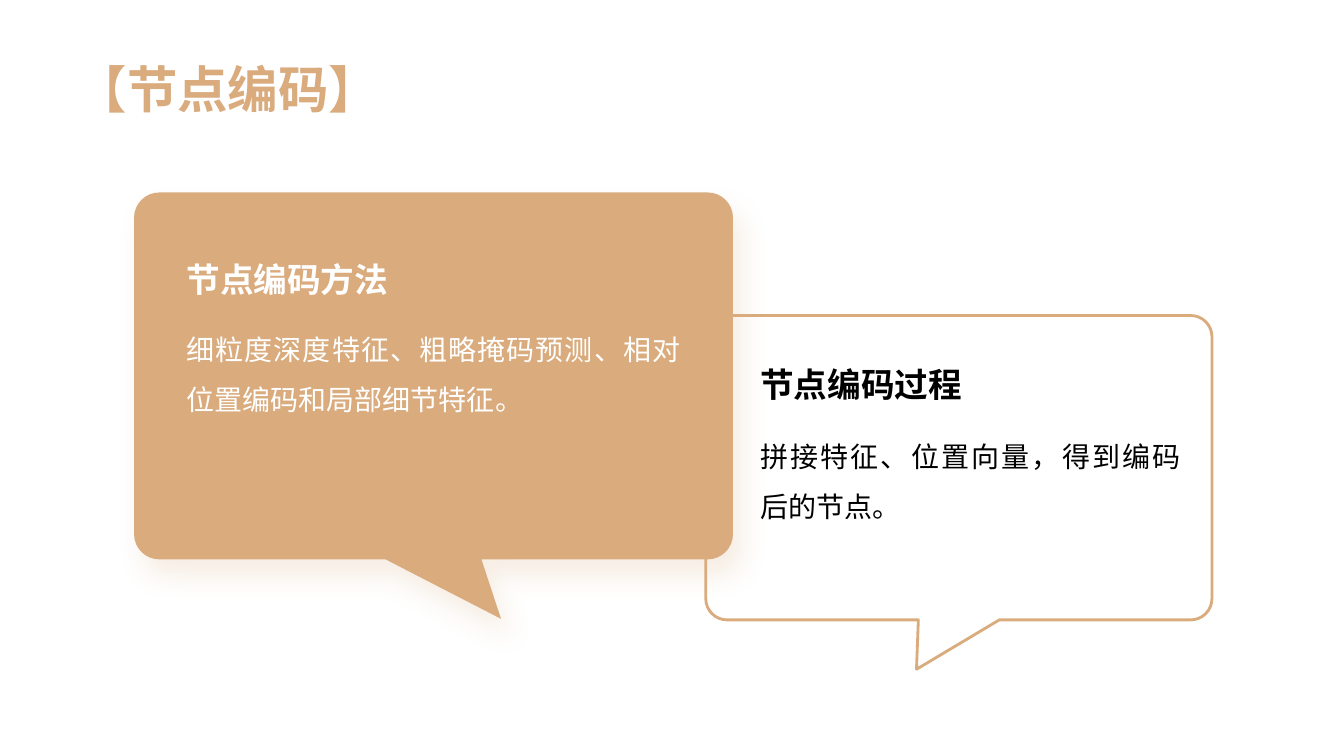
from dataclasses import dataclass
from math import cos, radians, sin

from lxml import etree
from pptx import Presentation
from pptx.dml.color import RGBColor
from pptx.enum import text
from pptx.oxml import ns
from pptx.util import Inches, Pt


@dataclass(frozen=True)
class Theme:
    font: str = "Noto Sans CJK SC"
    tan: str = "D9AB7D"
    white: str = "FFFFFF"
    black: str = "000000"
    title: int = 36
    heading: int = 24
    body: int = 20


theme = Theme()
deck = Presentation()
deck.slide_width, deck.slide_height = Inches(13.33), Inches(7.5)
page = deck.slides.add_slide(deck.slide_layouts[6])


def add_text(words, left, top, width, height, size, color, anchor, bold=True):
    box = page.shapes.add_textbox(Inches(left), Inches(top), Inches(width), Inches(height))
    frame = box.text_frame
    frame.word_wrap = True
    frame.vertical_anchor = anchor
    frame.margin_left = frame.margin_right = frame.margin_top = frame.margin_bottom = 0
    para = frame.paragraphs[0]
    if not bold:
        para.alignment = text.PP_ALIGN.JUSTIFY
        para.line_spacing = 1.5
    span = para.add_run()
    span.text = words
    span.font.name = theme.font
    span.font.size = Pt(size)
    span.font.bold = bold
    span.font.color.rgb = RGBColor.from_string(color)
    etree.SubElement(span.font._element, ns.qn("a:ea")).set("typeface", theme.font)


def add_callout(left, top, width, height, radius, tip, fill):
    right, bottom = left + width, top + height
    corners = [
        (right - radius, top + radius, -90),
        (right - radius, bottom - radius, 0),
        (left + radius, bottom - radius, 90),
        (left + radius, top + radius, 180),
    ]
    bend = 0.55 * radius
    points, curve_starts = [], []
    for x, y, degrees in corners:
        c, s = cos(radians(degrees)), sin(radians(degrees))
        curve_starts.append(len(points) + 1)
        points += [
            (x + radius * c, y + radius * s),
            (x + radius * c - bend * s, y + radius * s + bend * c),
            (x - radius * s + bend * c, y + radius * c + bend * s),
            (x - radius * s, y + radius * c),
        ]
        if degrees == 0:
            points += [(left + width * 0.58, bottom), tip, (left + width * 0.42, bottom)]
    points = [(Inches(x), Inches(y)) for x, y in points]
    builder = page.shapes.build_freeform(*points[0], scale=1.0)
    builder.add_line_segments(points[1:], close=True)
    shape = builder.convert_to_shape()
    outline = next(shape._element.iter(ns.qn("a:path")))
    segments = list(outline)
    for start in curve_starts:
        first, *others = segments[start:start + 3]
        first.tag = ns.qn("a:cubicBezTo")
        for segment in others:
            first.append(segment[0])
            outline.remove(segment)
    shape.shadow.inherit = False
    shape.fill.solid()
    shape.fill.fore_color.rgb = RGBColor.from_string(fill)
    return shape


add_text("【节点编码】", 0.76, 0.39, 11.81, 0.79, theme.title, theme.tan, text.MSO_ANCHOR.BOTTOM)

process = add_callout(7, 3.13, 5.02, 3.02, 0.21, (9.09, 6.64), theme.white)
process.line.color.rgb = RGBColor.from_string(theme.tan)
process.line.width = Pt(2)
fill_color = process._element.spPr.find(ns.qn("a:solidFill"))[0]
etree.SubElement(fill_color, ns.qn("a:alpha")).set("val", "15000")
add_text("拼接特征、位置向量，得到编码后的节点。", 7.54, 4.19, 4.17, 1.66,
         theme.body, theme.black, text.MSO_ANCHOR.TOP, bold=False)
add_text("节点编码过程", 7.54, 3.5, 4.17, 0.62, theme.heading, theme.black, text.MSO_ANCHOR.MIDDLE)

method = add_callout(1.33, 1.91, 5.94, 3.64, 0.25, (4.97, 6.14), theme.tan)
method.line.fill.background()
effects = method._element.spPr.find(ns.qn("a:effectLst"))
shadow = etree.SubElement(effects, ns.qn("a:outerShdw"))
for key, value in {"blurRad": Pt(18), "dist": Pt(14), "dir": 63 * 60000, "rotWithShape": 0}.items():
    shadow.set(key, str(int(value)))
shadow_color = etree.SubElement(shadow, ns.qn("a:srgbClr"), val=theme.tan)
etree.SubElement(shadow_color, ns.qn("a:alpha"), val="20000")
add_text("细粒度深度特征、粗略掩码预测、相对位置编码和局部细节特征。", 1.85, 3.13, 4.9, 2.01,
         theme.body, theme.white, text.MSO_ANCHOR.TOP, bold=False)
add_text("节点编码方法", 1.85, 2.39, 4.91, 0.76, theme.heading, theme.white, text.MSO_ANCHOR.MIDDLE)

deck.save("out.pptx")
